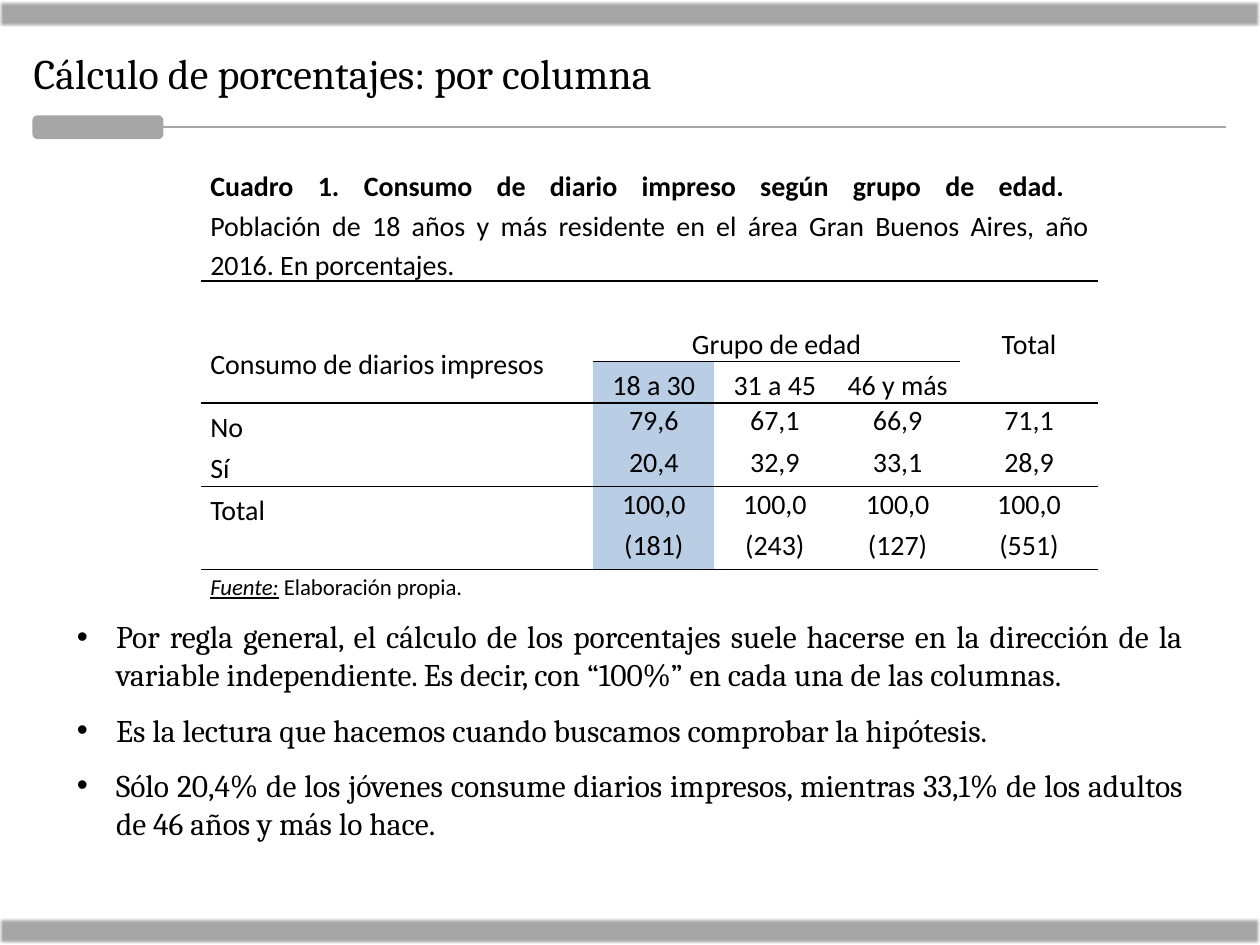
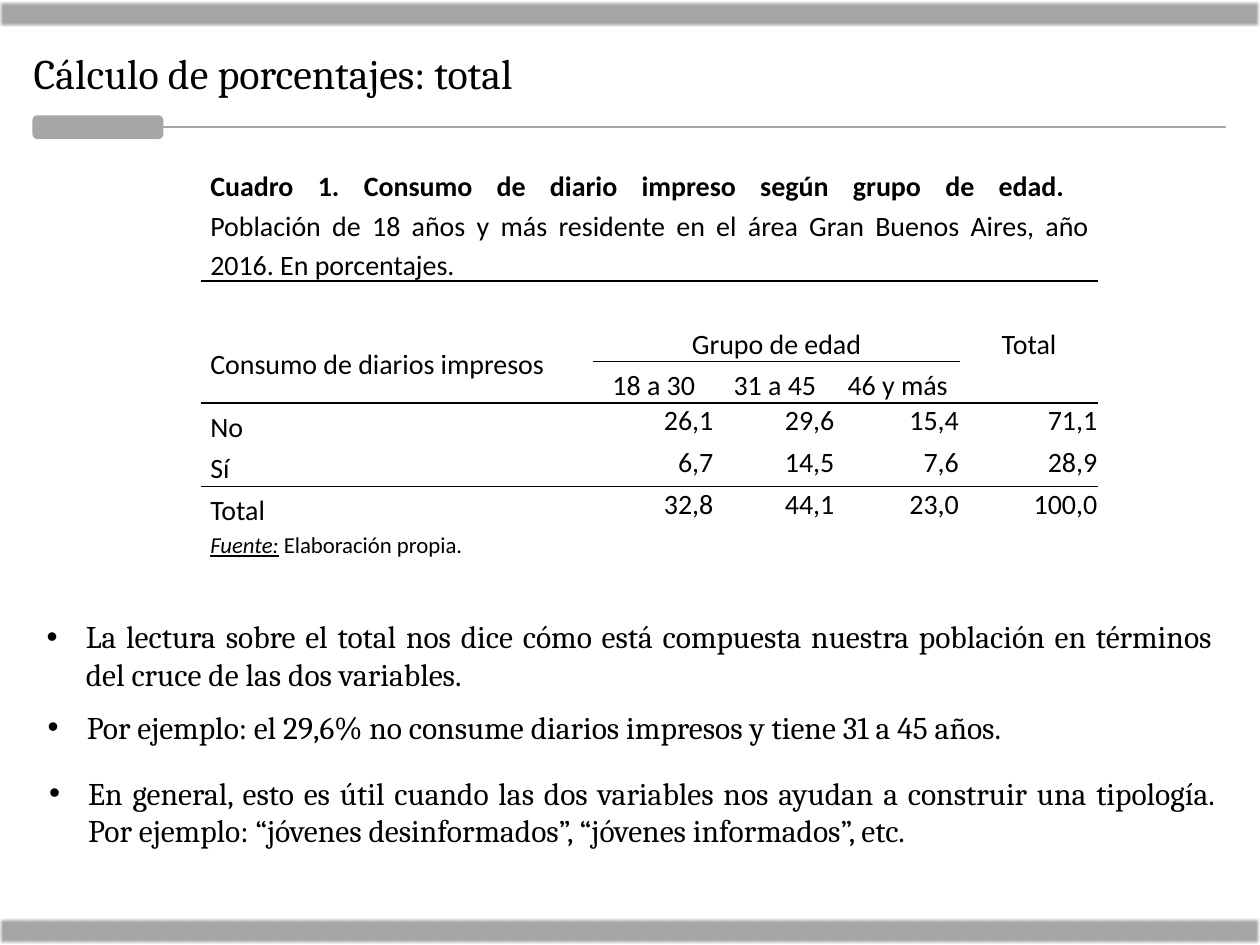
import copy

import pptx
import pptx.dml.color
import pptx.enum.shapes
import pptx.enum.text
import pptx.oxml
import pptx.oxml.ns
import pptx.util
from lxml import etree

Cm = pptx.util.Cm
Pt = pptx.util.Pt
qn = pptx.oxml.ns.qn
ALIGN = pptx.enum.text.PP_ALIGN
ANCHOR = pptx.enum.text.MSO_ANCHOR
SHAPE = pptx.enum.shapes.MSO_SHAPE

BLACK, WHITE, GREY, HIGHLIGHT = "000000", "FFFFFF", "A6A6A6", "B9CDE5"
NO_STYLE = "{2D5ABB26-0587-4C30-8999-92F81FD0307C}"
TITLE_FONT = {"name": "Cambria", "size": Pt(24)}
BULLET_FONT = {"name": "Cambria", "size": Pt(18)}
TABLE_FONT = {"name": "Calibri", "size": Pt(16)}
SOURCE_FONT = {"name": "Calibri", "size": Pt(13)}
LABEL_MARGINS = {"margin_left": Cm(0.18), "margin_right": Cm(0.18),
                 "margin_top": 0, "margin_bottom": 0}
VALUE_MARGINS = {"margin_left": Cm(0.02), "margin_right": Cm(0.02),
                 "margin_top": Cm(0.02), "margin_bottom": 0}
COLUMN_WIDTHS = [7.9, 2.44, 2.44, 2.51, 2.79]
HEADER_HEIGHTS = [1.68, 0.84, 0.3, 0.84]
ROW_HEIGHT = 0.84
MERGES = [(0, 0, 0, 4), (2, 0, 3, 0), (2, 1, 2, 3), (2, 4, 3, 4)]

# row, column, text, alignment, anchor
HEADINGS = [
    (2, 0, "Consumo de diarios impresos", ALIGN.LEFT, ANCHOR.MIDDLE),
    (2, 1, "Grupo de edad", ALIGN.CENTER, ANCHOR.BOTTOM),
    (2, 4, "Total", ALIGN.CENTER, ANCHOR.TOP),
    (3, 1, "18 a 30", ALIGN.CENTER, ANCHOR.BOTTOM),
    (3, 2, "31 a 45", ALIGN.CENTER, ANCHOR.BOTTOM),
    (3, 3, "46 y más", ALIGN.CENTER, ANCHOR.BOTTOM),
]

SLIDES = [
    {
        "title": "Cálculo de porcentajes: por columna",
        "values": [
            ["No", "79,6", "67,1", "66,9", "71,1"],
            ["Sí", "20,4", "32,9", "33,1", "28,9"],
            ["Total", "100,0", "100,0", "100,0", "100,0"],
            ["", "(181)", "(243)", "(127)", "(551)"],
        ],
        "value_align": ALIGN.CENTER,
        "ruled_rows": [0, 2, 3, 5, 7],
        "highlight_column": 1,
        "bullet_width": 22.8,
        # left, top, height, text
        "bullets": [
            (1.3, 12.32, 1.8, "Por regla general, el cálculo de los porcentajes suele hacerse en la "
             "dirección de la variable independiente. Es decir, con “100%” en cada una de las columnas. "),
            (1.3, 14.2, 1.02, "Es la lectura que hacemos cuando buscamos comprobar la hipótesis."),
            (1.3, 15.32, 1.8, "Sólo 20,4% de los jóvenes consume diarios impresos, mientras 33,1% de "
             "los adultos de 46 años y más lo hace."),
        ],
    },
    {
        "title": "Cálculo de porcentajes: total",
        "values": [
            ["No", "26,1", "29,6", "15,4", "71,1"],
            ["Sí", "6,7", "14,5", "7,6", "28,9"],
            ["Total", "32,8", "44,1", "23,0", "100,0"],
        ],
        "value_align": ALIGN.RIGHT,
        "ruled_rows": [0, 2, 3, 5],
        "highlight_column": None,
        "bullet_width": 24,
        "bullets": [
            (0.69, 12.32, 1.8, "La lectura sobre el total nos dice cómo está compuesta nuestra "
             "población en términos del cruce de las dos variables. "),
            (0.71, 14.15, 1.02, "Por ejemplo: el 29,6% no consume diarios impresos y tiene 31 a 45 años."),
            (0.74, 15.47, 1.8, "En general, esto es útil cuando las dos variables nos ayudan a construir "
             "una tipología. Por ejemplo: “jóvenes desinformados”, “jóvenes informados”, etc. "),
        ],
    },
]


def rgb(color):
    return pptx.dml.color.RGBColor.from_string(color)


def write(paragraph, text, font_format, **extra):
    """Add a black run with the given font attributes and return it."""
    run = paragraph.add_run()
    run.text = text
    for attribute, value in {**font_format, **extra}.items():
        setattr(run.font, attribute, value)
    run.font.color.rgb = rgb(BLACK)
    return run


deck = pptx.Presentation()
deck.slide_width, deck.slide_height = Cm(25.4), Cm(19.05)

for content in SLIDES:
    slide = deck.slides.add_slide(deck.slide_layouts[6])
    shapes = slide.shapes

    # Bands at the top and bottom, with soft edges
    for band_top in (0.03, 18.52):
        band = shapes.add_shape(SHAPE.RECTANGLE, 0, Cm(band_top), Cm(25.4), Cm(0.51))
        band.fill.solid()
        band.fill.fore_color.rgb = rgb(GREY)
        band.line.fill.background()
        band.shadow.inherit = False
        effects = band._element.spPr.find(qn("a:effectLst"))
        etree.SubElement(effects, qn("a:softEdge"), rad="12700")

    # Title and its rule
    pill = shapes.add_shape(SHAPE.ROUNDED_RECTANGLE, Cm(0.69), Cm(2.36), Cm(2.57), Cm(0.41))
    pill.shadow.inherit = False
    pill.fill.solid()
    pill.fill.fore_color.rgb = rgb(GREY)
    pill.line.color.rgb = rgb(GREY)
    pill.line.width = Pt(2)
    rule_y = pill.top + pill.height // 2
    rule = shapes.add_connector(pptx.enum.shapes.MSO_CONNECTOR.STRAIGHT,
                                pill.left + pill.width, rule_y, Cm(24.71), rule_y)
    rule.begin_connect(pill, 3)
    rule.line.color.rgb = rgb(GREY)
    rule.line.width = Pt(1.25)
    etree.SubElement(rule._element.spPr, qn("a:effectLst"))

    title = shapes.add_textbox(Cm(0.43), Cm(0.84), Cm(24.28), Cm(1.27)).text_frame
    title.word_wrap = True
    write(title.paragraphs[0], content["title"], TITLE_FONT)

    # Table grid
    values = content["values"]
    heights = HEADER_HEIGHTS + [ROW_HEIGHT] * (len(values) + 1)
    source_row = len(heights) - 1
    table = shapes.add_table(len(heights), len(COLUMN_WIDTHS), Cm(4.06), Cm(3.33),
                             Cm(sum(COLUMN_WIDTHS)), Cm(sum(heights))).table
    table.first_row = table.horz_banding = False
    table._tbl.tblPr.find(qn("a:tableStyleId")).text = NO_STYLE
    for column, width in zip(table.columns, COLUMN_WIDTHS):
        column.width = Cm(width)
    for row, height in zip(table.rows, heights):
        row.height = Cm(height)

    for r in range(len(heights)):
        for c in range(len(COLUMN_WIDTHS)):
            cell = table.cell(r, c)
            is_value = c > 0 and 4 <= r < source_row
            for side, margin in (VALUE_MARGINS if is_value else LABEL_MARGINS).items():
                setattr(cell, side, margin)
            if r in content["ruled_rows"]:
                border = etree.SubElement(cell._tc.get_or_add_tcPr(), qn("a:lnB"), w=str(Pt(1)))
                ink = etree.SubElement(border, qn("a:solidFill"))
                etree.SubElement(ink, qn("a:srgbClr"), val=BLACK)
            highlighted = c == content["highlight_column"] and 3 <= r < source_row
            cell.fill.solid()
            cell.fill.fore_color.rgb = rgb(HIGHLIGHT if highlighted else WHITE)

    for top, left, bottom, right in MERGES + [(source_row, 0, source_row, 4)]:
        table.cell(top, left).merge(table.cell(bottom, right))

    # Table caption
    caption_cell = table.cell(0, 0)
    caption_cell.vertical_anchor = ANCHOR.BOTTOM
    caption = caption_cell.text_frame.paragraphs[0]
    caption.alignment, caption.line_spacing = ALIGN.JUSTIFY, 1.15
    heading = write(caption, "Cuadro 1. Consumo de diario impreso según grupo de edad. ",
                    TABLE_FONT, bold=True)
    caption.add_line_break()
    caption._p.find(qn("a:br")).append(copy.deepcopy(heading._r.rPr))
    write(caption, "Población de 18 años y más residente en el área Gran Buenos Aires, "
          "año 2016. En porcentajes.", TABLE_FONT, bold=False)

    # Headings, row labels and values
    entries = list(HEADINGS)
    for r, (label, *numbers) in enumerate(values, start=4):
        if label:
            entries.append((r, 0, label, ALIGN.LEFT, ANCHOR.BOTTOM))
        for c, number in enumerate(numbers, start=1):
            entries.append((r, c, number, content["value_align"], ANCHOR.TOP))
    for r, c, text, alignment, anchor in entries:
        cell = table.cell(r, c)
        cell.vertical_anchor = anchor
        paragraph = cell.text_frame.paragraphs[0]
        paragraph.alignment = alignment
        if r < 4 or c == 0:
            paragraph.line_spacing = 1.15
        write(paragraph, text, TABLE_FONT)

    source = table.cell(source_row, 0).text_frame.paragraphs[0]
    source.alignment, source.line_spacing = ALIGN.JUSTIFY, 1.15
    write(source, "Fuente:", SOURCE_FONT, italic=True, underline=True)
    write(source, " Elaboración propia.", SOURCE_FONT)

    # Reading of the table
    for left, top, height, text in content["bullets"]:
        reading = shapes.add_textbox(Cm(left), Cm(top), Cm(content["bullet_width"]),
                                     Cm(height)).text_frame
        reading.word_wrap = True
        paragraph = reading.paragraphs[0]
        paragraph.alignment = ALIGN.JUSTIFY
        properties = paragraph._p.get_or_add_pPr()
        properties.set("marL", str(Cm(0.79)))
        properties.set("indent", str(-Cm(0.79)))
        etree.SubElement(properties, qn("a:buFont"), typeface="Arial")
        etree.SubElement(properties, qn("a:buChar"), char="•")
        write(paragraph, text, BULLET_FONT)

deck.save("out.pptx")
